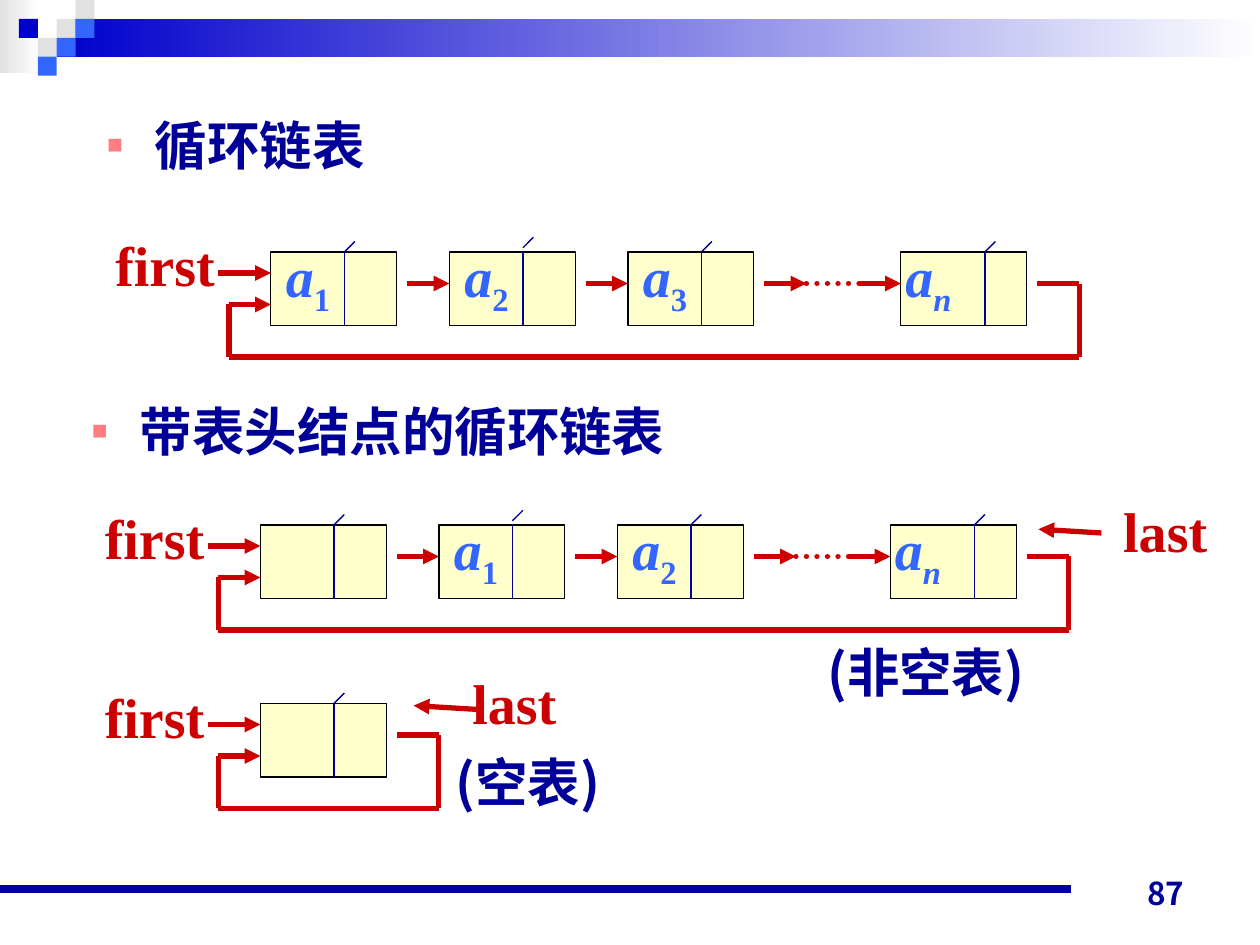
"""Build a slide that shows circular linked lists with and without a head node."""
import pptx
import pptx.dml.color
import pptx.enum.dml
import pptx.enum.shapes
import pptx.enum.text
import pptx.oxml
import pptx.oxml.ns
import pptx.util

COLOURS = {
    "navy": "000099", "blue": "0000CC", "sky": "3366FF", "grey": "E1E1E1",
    "white": "FFFFFF", "cream": "FFFFCC", "red": "CC0000", "pink": "FF7C80", "black": "000000",
}
PALETTE = {name: pptx.dml.color.RGBColor.from_string(code) for name, code in COLOURS.items()}
SERIF, SANS, CHINESE = "Times New Roman", "Arial", "Noto Sans CJK SC"
RECTANGLE = pptx.enum.shapes.MSO_SHAPE.RECTANGLE
NAMESPACE = pptx.oxml.ns.nsdecls("a")

deck = pptx.Presentation()
deck.slide_width = pptx.util.Inches(10)
deck.slide_height = pptx.util.Inches(7.5)
UNIT = deck.slide_width // 120
page = deck.slides.add_slide(deck.slide_layouts[1])
page.shapes.title.element.getparent().remove(page.shapes.title.element)


def draw_line(start_x, start_y, end_x, end_y, colour="red", weight=3, arrow=False):
    """Draw a straight line between two grid points."""
    ends = [round(value * UNIT) for value in (start_x, start_y, end_x, end_y)]
    line = page.shapes.add_connector(pptx.enum.shapes.MSO_CONNECTOR.STRAIGHT, *ends)
    line.line.color.rgb = PALETTE[colour]
    line.line.width = pptx.util.Pt(weight)
    properties = line.element.spPr
    if arrow:
        outline = properties.find(pptx.oxml.ns.qn("a:ln"))
        outline.append(pptx.oxml.parse_xml(f'<a:tailEnd {NAMESPACE} type="triangle"/>'))
    properties.append(pptx.oxml.parse_xml(f"<a:effectLst {NAMESPACE}/>"))
    return line


def write(box, place, text, size, font, colour, subscript="", bullet=False, wrap=False):
    """Place a text box on the grid and fill it with one bold paragraph."""
    box.left, box.top, box.width, box.height = [round(value * UNIT) for value in place]
    box.text_frame.word_wrap = wrap
    box.text_frame.auto_size = pptx.enum.text.MSO_AUTO_SIZE.NONE
    para = box.text_frame.paragraphs[0]
    para.add_run().text = text
    if bullet:
        settings = para._p.get_or_add_pPr()
        settings.set("marL", str(pptx.util.Inches(0.38)))
        settings.set("indent", str(-pptx.util.Inches(0.38)))
        for mark in (
            f'<a:buClr {NAMESPACE}><a:srgbClr val="{COLOURS["pink"]}"/></a:buClr>',
            f'<a:buSzPct {NAMESPACE} val="50000"/>',
            f'<a:buFont {NAMESPACE} typeface="{SANS}"/>',
            f'<a:buChar {NAMESPACE} char="■"/>',
        ):
            settings.append(pptx.oxml.parse_xml(mark))
        para.line_spacing = 1.05
        para.space_before = pptx.util.Pt(0)
    para.font.size = pptx.util.Pt(size)
    para.font.bold = True
    para.font.color.rgb = PALETTE[colour]
    para.font.name = font
    for defaults in box.element.iter(pptx.oxml.ns.qn("a:defRPr")):
        defaults.append(pptx.oxml.parse_xml(f'<a:ea {NAMESPACE} typeface="{CHINESE}"/>'))
    if subscript:
        para.runs[0].font.italic = True
        span = para.add_run()
        span.text = subscript
        span.font.italic = subscript == "n"
        span.font._element.set("baseline", "-25000")
    return para


bands = [(0, 0, 3.7, 7, "grey"), (5.4, 1.8, 114.6, 3.6, "blue")]
for left, top, width, height, colour in bands:
    band = page.shapes.add_shape(RECTANGLE, *[round(v * UNIT) for v in (left, top, width, height)])
    band.shadow.inherit = False
    band.line.fill.background()
    band.fill.gradient()
    band.fill.gradient_angle = 0
    for stop, name, position in zip(band.fill.gradient_stops, (colour, "white"), (0, 1)):
        stop.color.rgb = PALETTE[name]
        stop.position = position

TILE = 1.8
tiles = [(3, 1, "grey"), (4, 0, "grey"), (4, 1, "sky"), (2, 2, "grey"),
         (1, 1, "blue"), (3, 2, "sky"), (2, 3, "sky")]
for column, row, colour in tiles:
    corner = [round(value * TILE * UNIT) for value in (column, row, 1, 1)]
    tile = page.shapes.add_shape(RECTANGLE, *corner)
    tile.shadow.inherit = False
    tile.line.fill.background()
    tile.fill.solid()
    tile.fill.fore_color.rgb = PALETTE[colour]

draw_line(0, 84.7, 102, 84.7, "navy", 4.5)
number = write(page.shapes.add_textbox(0, 0, 0, 0), (86, 81.4, 28, 6), "87", 18,
               "Noto Sans CJK JP", "navy", wrap=True)
number.alignment = pptx.enum.text.PP_ALIGN.RIGHT
page.shapes[-1].text_frame.vertical_anchor = pptx.enum.text.MSO_ANCHOR.BOTTOM

headings = [
    (page.placeholders[1], (9, 9.84, 102, 26.16), "循环链表"),
    (page.shapes.add_textbox(0, 0, 0, 0), (7.56, 37.1, 59.4, 7.6), "带表头结点的循环链表"),
]
for box, place, text in headings:
    write(box, place, text, 30, SANS, "navy", bullet=True, wrap=True)

CELL_WIDTH, CELL_HEIGHT = 12, 7
OFFSETS = [0, 17, 34, 60]
chains = [(25.8, 24, ["1", "2", "3", "n"]), (24.8, 50, ["", "1", "2", "n"]), (24.8, 67, [""])]
for left, top, subscripts in chains:
    for index, (offset, subscript) in enumerate(zip(OFFSETS, subscripts)):
        x = left + offset
        place = [round(value * UNIT) for value in (x, top, CELL_WIDTH, CELL_HEIGHT)]
        cell = page.shapes.add_shape(RECTANGLE, *place)
        cell.shadow.inherit = False
        cell.fill.solid()
        cell.fill.fore_color.rgb = PALETTE["cream"]
        cell.line.color.rgb = PALETTE["black"]
        cell.line.width = pptx.util.Pt(0.75)
        divider = x + (8 if subscript == "n" else 7)
        tick = top - (0.4 if index == 1 else 0)
        draw_line(divider, top, divider, top + CELL_HEIGHT, "navy", 0.75)
        draw_line(divider, tick, divider + 1, tick - 1, "navy", 0.75)
        if subscript:
            shift = -0.75 if subscript == "n" else 0.25
            write(page.shapes.add_textbox(0, 0, 0, 0), (x + shift, top - 1.6, 6.6, 8.5),
                  "a", 32, SERIF, "sky", subscript)
        if index < len(subscripts) - 1:
            draw_line(x + 13, top + 3, x + 17, top + 3, arrow=True)
    if len(subscripts) > 1:
        dots = draw_line(left + 51, top + 3, left + 57, top + 3)
        dots.line.dash_style = pptx.enum.dml.MSO_LINE.ROUND_DOT
        dots.element.spPr.find(pptx.oxml.ns.qn("a:ln")).set("cap", "rnd")
        draw_line(left + 56, top + 3, left + 60, top + 3, arrow=True)
    back, end = left - 4, x + 17
    draw_line(left - 5, top + 2, left, top + 2, arrow=True)
    draw_line(back, top + 5, left, top + 5, arrow=True)
    draw_line(back, top + 5, back, top + 10)
    draw_line(back, top + 10, end, top + 10)
    draw_line(x + 13, top + 3, end, top + 3)
    draw_line(end, top + 3, end, top + 10)
    write(page.shapes.add_textbox(0, 0, 0, 0), (left - 16, top - 2.6, 11.9, 7.7),
          "first", 32, SERIF, "red")

for left, top in [(98.9, 50.4), (39.4, 67.2)]:
    draw_line(left + 6, top + 0.36, left, top, arrow=True)

labels = [
    ((105.8, 46.7, 10.3, 7.7), "last", 32, SERIF, "red"),
    ((43.8, 63.1, 10.3, 7.7), "last", 32, SERIF, "red"),
    ((77.6, 60.4, 25.8, 7.2), "(非空表)", 30, CHINESE, "navy"),
    ((42.2, 70.8, 20.8, 7.2), "(空表)", 30, CHINESE, "navy"),
]
for label in labels:
    write(page.shapes.add_textbox(0, 0, 0, 0), *label)

deck.save("out.pptx")
